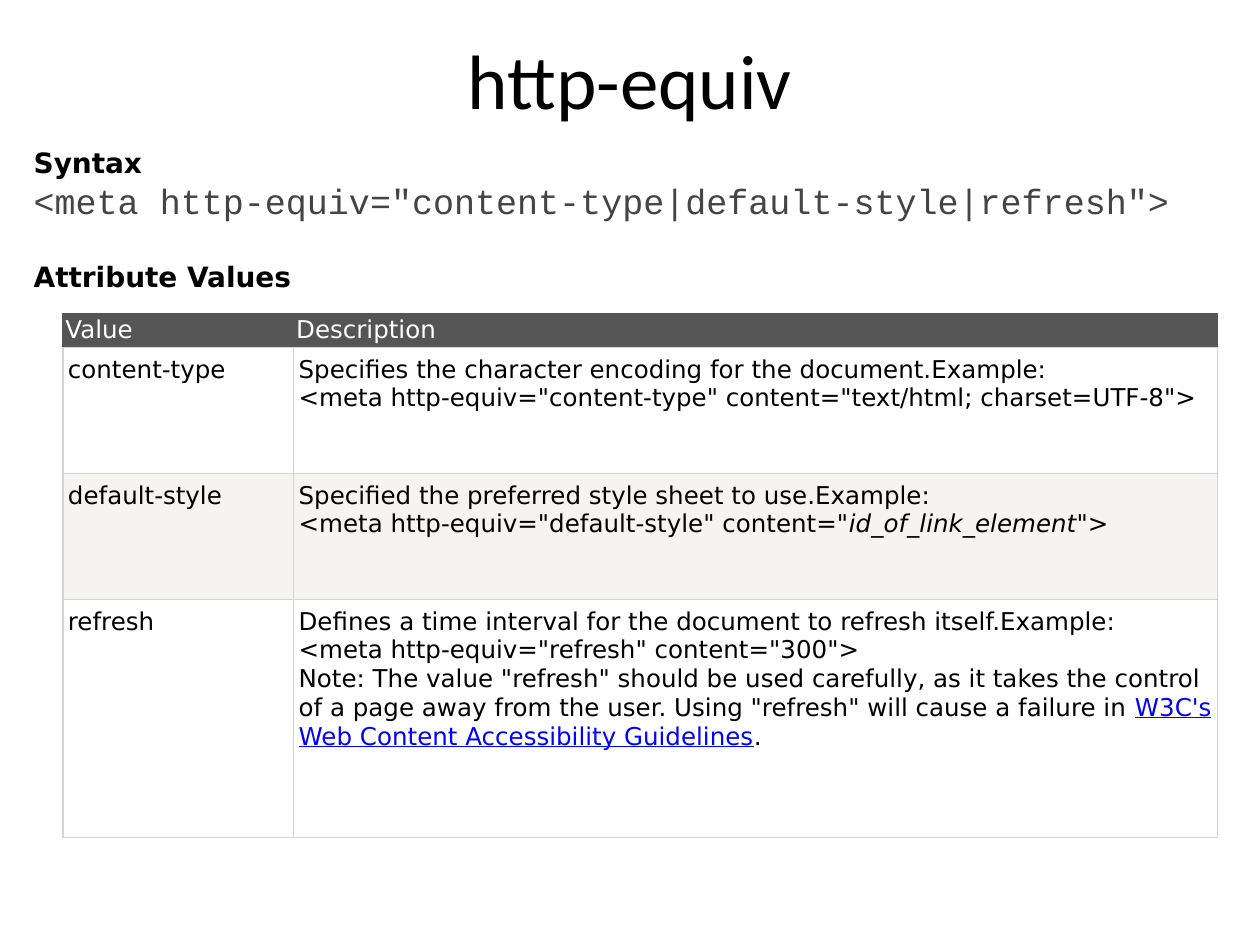
from lxml import etree
from pptx import Presentation
from pptx.dml.color import RGBColor
from pptx.enum import text
from pptx.oxml.ns import qn
from pptx.util import Cm, Pt

BLACK = RGBColor(0x00, 0x00, 0x00)
WHITE = RGBColor(0xFF, 0xFF, 0xFF)
CODE = RGBColor(0x44, 0x44, 0x44)
HEADER = RGBColor(0x55, 0x55, 0x55)
BAND = RGBColor(0xF6, 0xF4, 0xF0)
GRID = RGBColor(0xD4, 0xD4, 0xD4)
LINK = RGBColor(0x00, 0x00, 0xFF)


def add_text(p, content, size=14, font="DejaVu Sans", color=BLACK,
             bold=False, italic=False, underline=False):
    r = p.add_run()
    r.text = content
    f = r.font
    f.size, f.name, f.color.rgb = Pt(size), font, color
    f.bold, f.italic, f.underline = bold, italic, underline


def set_borders(cell, **colors):
    tc_pr = cell._tc.get_or_add_tcPr()
    for i, side in enumerate("LRTB"):
        ln = etree.Element(qn("a:ln" + side), w=str(Pt(0.75)))
        fill = etree.SubElement(ln, qn("a:solidFill"))
        etree.SubElement(fill, qn("a:srgbClr"), val=str(colors.get(side, GRID)))
        tc_pr.insert(i, ln)


prs = Presentation()
prs.slide_width, prs.slide_height = Cm(25.4), Cm(19.05)
s = prs.slides.add_slide(prs.slide_layouts[5])

# Title
title = s.shapes.title
title.left, title.top, title.width, title.height = Cm(1.27), Cm(0), Cm(22.86), Cm(3.18)
tf = title.text_frame
tf.vertical_anchor = text.MSO_ANCHOR.MIDDLE
p = tf.paragraphs[0]
p.alignment = text.PP_ALIGN.CENTER
add_text(p, "http-equiv", size=44, font="Calibri")

# Attribute table: each cell is a list of paragraphs, each paragraph a list of runs
rows = [
    ([[("Value", {})]], [[("Description", {})]]),
    ([[("content-type", {})]],
     [[("Specifies the character encoding for the document.Example:", {})],
      [('<meta http-equiv="content-type" content="text/html; charset=UTF-8">', {})]]),
    ([[("default-style", {})]],
     [[("Specified the preferred style sheet to use.Example:", {})],
      [('<meta http-equiv="default-style" content="', {}),
       ("id_of_link_element", {"italic": True}),
       ('">', {})]]),
    ([[("refresh", {})]],
     [[("Defines a time interval for the document to refresh itself.Example:", {})],
      [('<meta http-equiv="refresh" content="300">', {})],
      [('Note: The value "refresh" should be used carefully, as it takes the control '
        'of a page away from the user. Using "refresh" will cause a failure in\u00a0', {}),
       ("W3C's Web Content Accessibility Guidelines", {"color": LINK, "underline": True}),
       (".", {})]]),
]
heights = [0.69, 2.54, 2.54, 4.8]
widths = [4.65, 18.63]
table = s.shapes.add_table(len(rows), len(widths), Cm(1.27), Cm(6.32),
                           Cm(sum(widths)), Cm(sum(heights))).table
for col, width in zip(table.columns, widths):
    col.width = Cm(width)

for i, (row, height) in enumerate(zip(rows, heights)):
    table.rows[i].height = Cm(height)
    is_header = i == 0
    for j, paragraphs in enumerate(row):
        cell = table.cell(i, j)
        cell.margin_left = cell.margin_right = Cm(0.05 if is_header else 0.1)
        cell.margin_top = cell.margin_bottom = Cm(0.05 if is_header else 0.15)
        cell.fill.solid()
        cell.fill.fore_color.rgb = HEADER if is_header else BAND if i == 2 else WHITE
        set_borders(cell, **(dict.fromkeys("LRT", HEADER) if is_header else {}))
        tf = cell.text_frame
        for k, runs in enumerate(paragraphs):
            p = tf.add_paragraph() if k else tf.paragraphs[0]
            for content, style in runs:
                add_text(p, content, **{"color": WHITE if is_header else BLACK, **style})

# Syntax and table heading
tf = s.shapes.add_textbox(Cm(0.43), Cm(2.69), Cm(25.4), Cm(4.17)).text_frame
tf.word_wrap = True
tf.vertical_anchor = text.MSO_ANCHOR.TOP
tf.margin_left = tf.margin_right = tf.margin_top = tf.margin_bottom = Cm(0.25)
p = tf.paragraphs[0]
add_text(p, "Syntax", size=16, bold=True)
p = tf.add_paragraph()
add_text(p, '<meta http-equiv="content-type|default-style|refresh">',
         size=20, font="Courier New", color=CODE)
p = tf.add_paragraph()
p.space_before = Pt(22)
add_text(p, "Attribute Values", size=16, bold=True)

prs.save("out.pptx")
